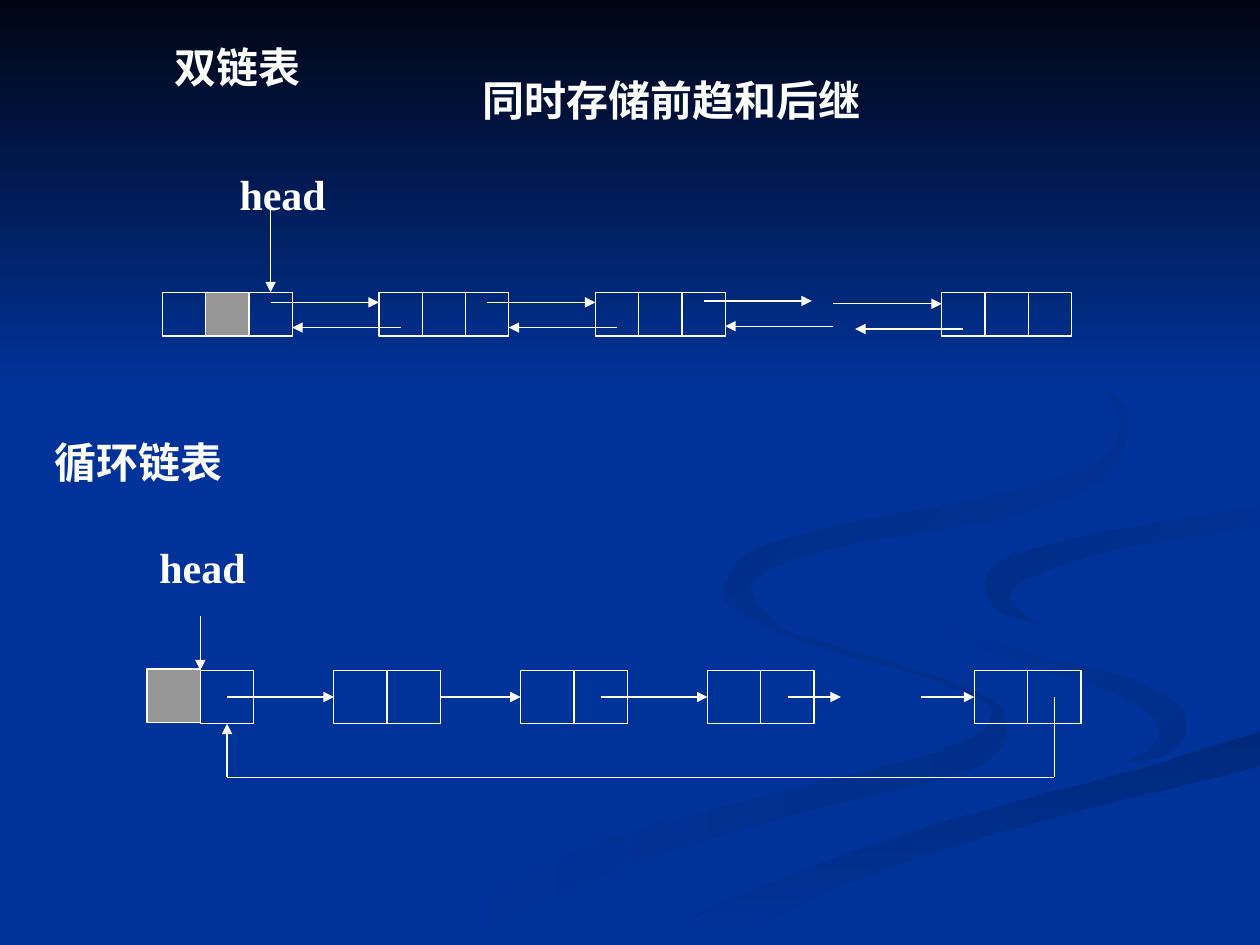
import math

from lxml import etree
from pptx import Presentation
from pptx.dml.color import RGBColor
from pptx.enum.shapes import MSO_CONNECTOR, MSO_SHAPE
from pptx.enum.text import PP_ALIGN
from pptx.oxml.ns import qn
from pptx.util import Pt

STRAIGHT = MSO_CONNECTOR.STRAIGHT
RECTANGLE = MSO_SHAPE.RECTANGLE
LEFT, CENTER = PP_ALIGN.LEFT, PP_ALIGN.CENTER

SLIDE_WIDTH, SLIDE_HEIGHT = 720, 540
SAMPLES = 6  # curve steps between two knots of a ribbon

COLORS = {
    "blue": "003399", "night": "000514", "white": "FFFFFF", "gray": "969696",
    "shade": "002E8A", "shade_front": "00297C",
    "shade_side": "002C85", "shade_top": "002B81",
}

# Each ribbon: first colour, last colour, counter-clockwise gradient angle,
# then the knots of its centre line as (x, y, thickness)
RIBBONS = {
    "lower": ("shade", "blue", 180, [
        (414, 330, 0), (418, 345, 4), (452, 363, 3), (520, 383, 3), (562, 399, 3),
        (570, 412, 9), (560, 428, 16), (520, 442, 15), (447, 460, 14), (345, 490, 18),
        (238, 539, 22)]),
    "loop": ("shade", "blue", 135, [
        (521, 335, 0), (527, 347, 3), (545, 362, 5), (592, 378, 7), (635, 390, 10),
        (663, 404, 14), (670, 416, 17), (663, 428, 9), (644, 436, 0)]),
    "front": ("shade_front", "blue", 270, [
        (386, 540, 22), (477, 499, 16), (551, 474, 14), (651, 447, 15), (724, 427, 19)]),
    "side": ("blue", "shade_side", 135, [
        (595, 357, 0), (575, 347, 8), (571, 336, 17), (579, 326, 16), (607, 316, 13),
        (645, 307, 11), (724, 295, 13)]),
    "top": ("blue", "shade_top", 135, [
        (549, 168, 0), (608, 200, 1), (638, 230, 4), (642, 246, 5), (633, 266, 10),
        (614, 276, 12), (570, 290, 14), (490, 304, 12), (448, 315, 13), (430, 323, 14),
        (422, 334, 14), (428, 345, 9), (448, 360, 0)]),
}


def color(name):
    return RGBColor.from_string(COLORS[name])


def smooth(knots):
    """Sample a Catmull-Rom curve through the knots."""
    padded = [knots[0], *knots, knots[-1]]
    samples = []
    for a, b, c, d in zip(padded, padded[1:], padded[2:], padded[3:]):
        for step in range(SAMPLES):
            t = step / SAMPLES
            samples.append([
                q + t / 2 * (r - p + t * (2 * p - 5 * q + 4 * r - s
                                          + t * (3 * (q - r) + s - p)))
                for p, q, r, s in zip(a, b, c, d)])
    return samples + [list(knots[-1])]


def ribbon_outline(knots):
    """Step half the thickness to both sides of the centre line."""
    center = smooth(knots)
    sides = [], []
    for index, (x, y, thickness) in enumerate(center):
        before, after = center[max(index - 1, 0)], center[min(index + 1, len(center) - 1)]
        normal = math.atan2(after[1] - before[1], after[0] - before[0]) + math.pi / 2
        for side, sign in zip(sides, (1, -1)):
            reach = sign * max(thickness, 0) / 2
            side.append((min(x + reach * math.cos(normal), SLIDE_WIDTH),
                         min(y + reach * math.sin(normal), SLIDE_HEIGHT)))
    return sides[0] + sides[1][::-1]


def fill_gradient(shape, first, last, angle):
    shape.fill.gradient()
    shape.fill.gradient_angle = angle
    for stop, name in zip(shape.fill.gradient_stops, (first, last)):
        stop.color.rgb = color(name)
    shape.line.fill.background()
    shape.shadow.inherit = False


def add_background(slide, sky_height):
    slide.background.fill.solid()
    slide.background.fill.fore_color.rgb = color("blue")
    for first, last, angle, knots in RIBBONS.values():
        start, *others = ribbon_outline(knots)
        builder = slide.shapes.build_freeform(*start, scale=Pt(1))
        builder.add_line_segments(others, close=True)
        fill_gradient(builder.convert_to_shape(), first, last, angle)
    sky = slide.shapes.add_shape(RECTANGLE, 0, 0, Pt(SLIDE_WIDTH), Pt(sky_height))
    fill_gradient(sky, "night", "blue", 270)


def add_text(slide, left, top, width, height, text, font="Times New Roman", align=LEFT):
    box = slide.shapes.add_textbox(Pt(left), Pt(top), Pt(width), Pt(height))
    box.text_frame.word_wrap = True
    paragraph = box.text_frame.paragraphs[0]
    paragraph.alignment = align
    run = paragraph.add_run()
    run.text = text
    run.font.name = font
    run.font.size = Pt(24)
    run.font.bold = True
    run.font.color.rgb = color("white")


def add_cell(slide, left, top, width, height, shaded=False):
    cell = slide.shapes.add_shape(RECTANGLE, Pt(left), Pt(top), Pt(width), Pt(height))
    cell.shadow.inherit = False
    cell.line.color.rgb = color("white")
    cell.line.width = Pt(0.75)
    if shaded:
        cell.fill.solid()
        cell.fill.fore_color.rgb = color("gray")
    else:
        cell.fill.background()


def add_line(slide, x1, y1, x2, y2, arrow=True):
    line = slide.shapes.add_connector(STRAIGHT, Pt(x1), Pt(y1), Pt(x2), Pt(y2))
    line.line.color.rgb = color("white")
    line.line.width = Pt(0.75)
    if arrow:
        etree.SubElement(line.line._get_or_add_ln(), qn("a:tailEnd"), type="triangle")
    etree.SubElement(line._element.spPr, qn("a:effectLst"))


def add_double_list(slide, left, top, cell, height):
    """Nodes of three cells; horizontal places are counted in cells."""
    for node in (0, 5, 10, 18):
        for part in range(3):
            add_cell(slide, left + (node + part) * cell, top, cell, height,
                     shaded=node + part == 1)
    reach = 2.5 * cell
    for forward, shift in ((2.5, 0), (7.5, 0), (12.5, -0.8), (15.5, 0.8)):
        next_x, previous_x = left + forward * cell, left + (forward + 3) * cell
        next_y, previous_y = top + 5.8 + shift, top + 20.2 + shift
        add_line(slide, next_x, next_y, next_x + reach, next_y)
        add_line(slide, previous_x, previous_y, previous_x - reach, previous_y)
    add_text(slide, left + 37, top - 74.5, 74, 37, "head")
    add_line(slide, left + reach, top - 49.6, left + reach, top)


def add_circular_list(slide, left, top, cell, height):
    """Nodes of two cells; horizontal places are counted in cells."""
    for node in (0, 3.5, 7, 10.5, 15.5):
        for part in range(2):
            shaded = node + part == 0
            add_cell(slide, left + (node + part) * cell, top - 0.7 * shaded,
                     cell, height, shaded)
    middle, bottom = top + height / 2, top + 2 * height
    for start, end in ((1.5, 3.5), (5.5, 7), (8.5, 10.5), (12, 13), (14.5, 15.5)):
        add_line(slide, left + start * cell, middle, left + end * cell, middle)
    add_text(slide, left, top - 77, 76, 46, "head")
    add_line(slide, left + cell, top - 31, left + cell, top)
    first, last = left + 1.5 * cell, left + 17 * cell
    add_line(slide, last, middle, last, bottom, arrow=False)
    add_line(slide, first, bottom, last, bottom, arrow=False)
    add_line(slide, first, bottom, first, top + height)


def main():
    presentation = Presentation()
    presentation.slide_width = Pt(SLIDE_WIDTH)
    presentation.slide_height = Pt(SLIDE_HEIGHT)
    slide = presentation.slides.add_slide(presentation.slide_layouts[6])
    add_background(slide, sky_height=222)
    add_text(slide, 92.6, 20, 138, 36, "双链表")
    add_double_list(slide, left=92.8, top=167, cell=24.74, height=25)
    add_text(slide, 24, 246, 162, 36, "循环链表")
    add_circular_list(slide, left=84, top=383, cell=30.5, height=30.6)
    add_text(slide, 241, 39, 285, 36, "同时存储前趋和后继", "Arial", CENTER)
    presentation.save("out.pptx")


if __name__ == "__main__":
    main()
